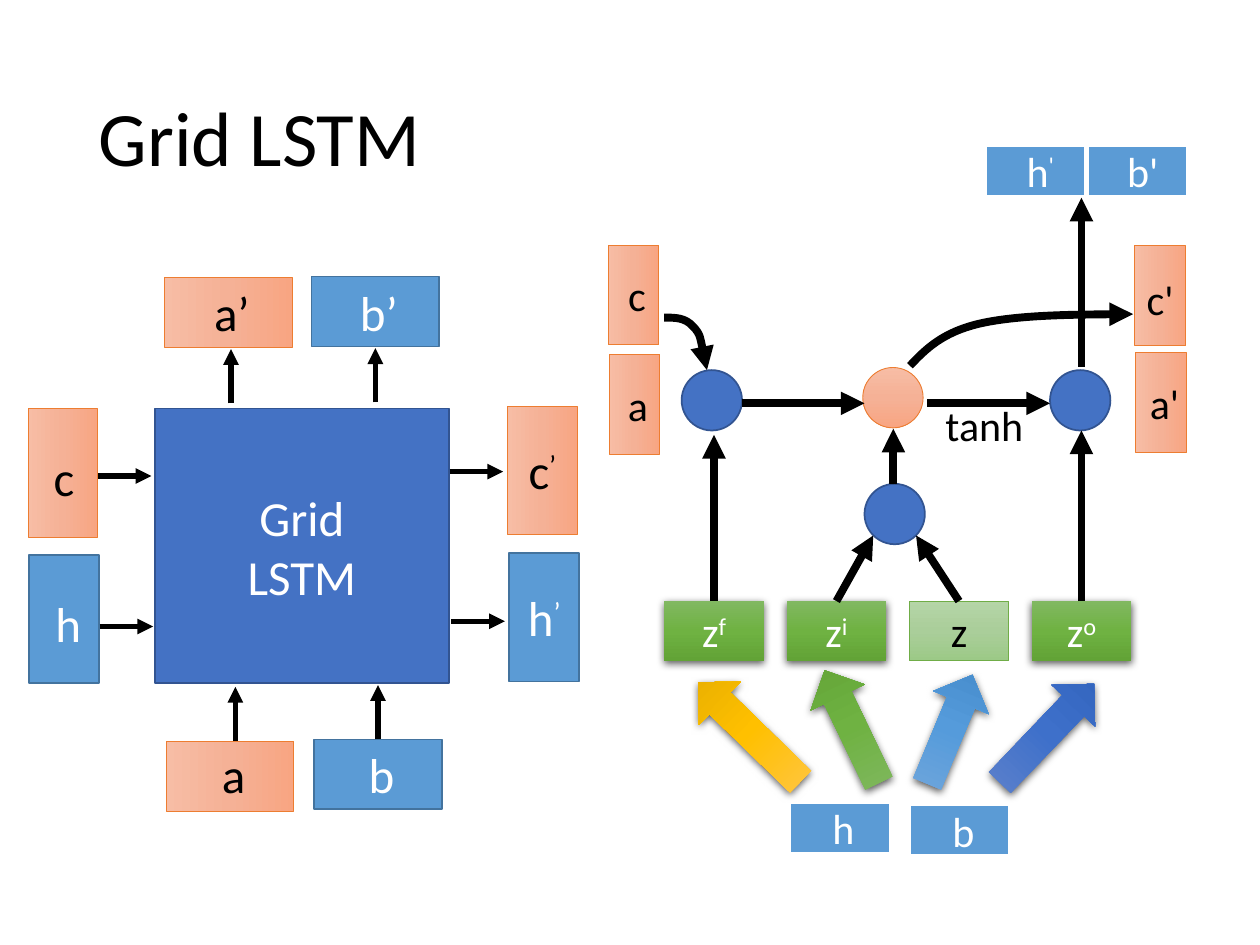
from copy import deepcopy

from lxml import etree
from pptx import Presentation
from pptx.dml.color import RGBColor
from pptx.enum.shapes import MSO_CONNECTOR, MSO_SHAPE
from pptx.enum.text import MSO_ANCHOR, PP_ALIGN
from pptx.oxml.ns import qn
from pptx.util import Pt

RECTANGLE = MSO_SHAPE.RECTANGLE
OVAL = MSO_SHAPE.OVAL
UP_ARROW = MSO_SHAPE.UP_ARROW
STRAIGHT = MSO_CONNECTOR.STRAIGHT
MIDDLE = MSO_ANCHOR.MIDDLE
CENTER = PP_ALIGN.CENTER
LEFT = PP_ALIGN.LEFT

FONT = "Calibri"
TOP_SIDE = 0
RIGHTWARD, DOWNWARD, UPWARD = 0, 270, 90

BLACK = RGBColor(0, 0, 0)
WHITE = RGBColor(255, 255, 255)
BLUE = RGBColor(0x44, 0x72, 0xC4)
BLUE_EDGE = RGBColor(0x32, 0x54, 0x91)
SKY = RGBColor(0x5B, 0x9B, 0xD5)
SKY_EDGE = RGBColor(0x43, 0x73, 0x9E)
ORANGE = RGBColor(0xED, 0x7D, 0x31)
GREEN = RGBColor(0x70, 0xAD, 0x47)
SALMON_SHADES = (RGBColor(0xF7, 0xBD, 0xA5), RGBColor(0xF5, 0xB1, 0x96), RGBColor(0xF8, 0xA5, 0x82))
PALE_GREEN_SHADES = (RGBColor(0xB5, 0xD5, 0xA7), RGBColor(0xAA, 0xCE, 0x9A), RGBColor(0x9C, 0xC9, 0x87))
GREEN_SHADES = (RGBColor(0x81, 0xB8, 0x61), RGBColor(0x6F, 0xB2, 0x42), RGBColor(0x62, 0xA3, 0x36))
BLUE_SHADES = (RGBColor(0x61, 0x83, 0xCB), RGBColor(0x3E, 0x70, 0xCA), RGBColor(0x30, 0x62, 0xBB))
SKY_SHADES = (RGBColor(0x71, 0xA6, 0xDB), RGBColor(0x55, 0x9B, 0xDB), RGBColor(0x44, 0x8A, 0xCA))
GOLD_SHADES = (RGBColor(0xFF, 0xC6, 0x4B), RGBColor(0xFF, 0xC0, 0x00), RGBColor(0xE3, 0xAB, 0x00))


def write(box, lines, size, color, align=CENTER):
    """Fill a box with lines, each a (text, superscript) pair."""
    frame = box.text_frame
    frame.vertical_anchor = MIDDLE
    for index, (text, superscript) in enumerate(lines):
        para = frame.add_paragraph() if index else frame.paragraphs[0]
        para.alignment = align
        para.font.name, para.font.size = FONT, Pt(size)
        para.font.color.rgb = color
        para.add_run().text = text
        if superscript:
            span = para.add_run()
            span.text = superscript
            span._r.get_or_add_rPr().set("baseline", "30000")


def add_label(page, center, size, lines, font_size, color, align=CENTER):
    """Add a text box around a center point."""
    (x, y), (width, height) = center, size
    box = page.shapes.add_textbox(Pt(x - width / 2), Pt(y - height / 2), Pt(width), Pt(height))
    box.text_frame.word_wrap = True
    write(box, lines, font_size, color, align)
    return box


def add_figure(page, kind, corner, size, fill, edge=None, edge_width=1, direction=DOWNWARD):
    """Add a preset shape with a plain colour or a three-stop gradient."""
    figure = page.shapes.add_shape(kind, *map(Pt, corner + size))
    figure.shadow.inherit = False
    if isinstance(fill, RGBColor):
        figure.fill.solid()
        figure.fill.fore_color.rgb = fill
    else:
        figure.fill.gradient()
        figure.fill.gradient_angle = direction
        stop_list = figure._element.spPr.find(qn("a:gradFill")).find(qn("a:gsLst"))
        stop_list.insert(1, deepcopy(stop_list[0]))
        for stop, color, position in zip(figure.fill.gradient_stops, fill, (0, 0.5, 1)):
            stop.color.rgb, stop.position = color, position
    if edge is None:
        figure.line.fill.background()
    else:
        figure.line.color.rgb, figure.line.width = edge, Pt(edge_width)
    return figure


def add_shadow(figure):
    """Give a shape a soft shadow straight below it."""
    effects = figure._element.spPr.find(qn("a:effectLst"))
    shadow = etree.SubElement(effects, qn("a:outerShdw"), blurRad=str(Pt(4.5)), dist=str(Pt(1.5)),
                              dir="5400000", algn="ctr", rotWithShape="0")
    color = etree.SubElement(shadow, qn("a:srgbClr"), val=str(BLACK))
    etree.SubElement(color, qn("a:alpha"), val="63000")


def add_state(page, corner, size, salmon, edge, text, shift, font_size):
    """Add a state vector's box with its label, and return the box."""
    if salmon:
        box = add_figure(page, RECTANGLE, corner, size, SALMON_SHADES, ORANGE, 0.5, RIGHTWARD)
    else:
        box = add_figure(page, RECTANGLE, corner, size, SKY, *edge)
    center = [start + length / 2 + move for start, length, move in zip(corner, size, shift)]
    add_label(page, center, (72, font_size * 1.5), [text], font_size, BLACK if salmon else WHITE)
    return box


def style_stroke(stroke, width):
    """Make a line black, with a triangle at its far end and no shadow."""
    stroke.line.color.rgb, stroke.line.width = BLACK, Pt(width)
    properties = stroke._element.spPr
    etree.SubElement(properties.find(qn("a:ln")), qn("a:tailEnd"), type="triangle")
    if properties.find(qn("a:effectLst")) is None:
        etree.SubElement(properties, qn("a:effectLst"))


def add_arrow(page, start, end, width, source=None):
    """Add a straight arrow, joined to the top of its source box if given."""
    arrow = page.shapes.add_connector(STRAIGHT, *map(Pt, start + end))
    if source is not None:
        arrow.begin_connect(source, TOP_SIDE)
    style_stroke(arrow, width)


def add_curve(page, points, width):
    """Add a curved arrow through a start and groups of three Bezier points."""
    start, *rest = [(Pt(x), Pt(y)) for x, y in points]
    builder = page.shapes.build_freeform(*start)
    builder.add_line_segments(rest, close=False)
    curve = builder.convert_to_shape()
    curve.fill.background()
    curve.shadow.inherit = False
    segments = list(curve._element.iter(qn("a:lnTo")))
    outline = segments[0].getparent()
    for first in range(0, len(segments), 3):
        bend = etree.SubElement(outline, qn("a:cubicBezTo"))
        for segment in segments[first:first + 3]:
            bend.append(segment[0])
            outline.remove(segment)
    style_stroke(curve, width)


def add_block(page):
    """Draw the Grid LSTM block with its inputs and outputs."""
    block = add_figure(page, RECTANGLE, (88.5, 233.5), (168, 157), BLUE, BLUE_EDGE)
    write(block, [("Grid", ""), ("LSTM", "")], 28, WHITE)
    tall, wide, edge = (40, 73.5), (73, 40), (SKY_EDGE, 1)
    for corner, size, salmon, text, shift in (
            ((16, 233.5), tall, True, ("c", ""), (0.5, 2)),
            ((16.5, 317), tall, False, ("h", ""), (2.5, 2)),
            ((290, 232), tall, True, ("c", "’"), (0, 0)),
            ((291, 316), tall, False, ("h", "’"), (0, 0)),
            ((94, 158.5), wide, True, ("a’", ""), (2, 0)),
            ((178, 158), wide, False, ("b’", ""), (2, 0)),
            ((95, 423.5), wide, True, ("a", ""), (2, -1)),
            ((179.5, 422.5), wide, False, ("b", ""), (2, 0))):
        box = add_state(page, corner, size, salmon, edge, text, shift, 28)
    add_arrow(page, (216, 422.5), (216, 391.5), 3, box)
    for x, y in ((56, 272), (57, 358), (257, 269.5), (258, 355)):
        add_arrow(page, (x, y), (x + 30.5, y), 3)
    for x, y in ((134.5, 423.5), (132, 230.5), (214.5, 230)):
        add_arrow(page, (x, y), (x, y - 31), 3)


def add_cell(page):
    """Draw the inside of the cell: gates, circles, states and flows."""
    flat, upright, edge = (57, 29), (29, 57), (WHITE, 1.5)
    for corner, size, salmon, text, shift in (
            ((563, 83), flat, False, ("h", "'"), (3, 0)),
            ((621.5, 83), flat, False, ("b'", ""), (3, 0)),
            ((451.5, 458.5), flat, False, ("h", ""), (2, 0)),
            ((520, 460), flat, False, ("b", ""), (2, 0)),
            ((347.5, 140), upright, True, ("c", ""), (2, 0)),
            ((348, 202.5), upright, True, ("a", ""), (2, 0)),
            ((648.5, 140.5), upright, True, ("c'", ""), (0, 1.5)),
            ((649, 201.5), upright, True, ("a'", ""), (2, 0))):
        add_state(page, corner, size, salmon, edge, text, shift, 24)
    for corner in ((494, 276.5), (389.5, 211.5), (600, 211.5)):
        add_figure(page, OVAL, corner, (34.5, 34.5), BLUE, BLUE_EDGE)
    add_figure(page, OVAL, (493, 210), (34.5, 34.5), SALMON_SHADES, ORANGE, 0.5)

    for column, (letter, target) in enumerate((
            ("f", (408, 248.5)), ("i", (499, 306)), ("", (523.5, 306)), ("o", (618, 246)))):
        left = 379.5 + 70 * column
        if letter:
            gate = add_figure(page, RECTANGLE, (left, 343.5), (57, 34), GREEN_SHADES)
            add_shadow(gate)
        else:
            gate = add_figure(page, RECTANGLE, (left, 343.5), (57, 34), PALE_GREEN_SHADES, GREEN, 0.5)
        write(gate, [("z", letter)], 24, WHITE if letter else BLACK)
        add_arrow(page, (left + 28.5, 343.5), target, 4.5, gate)

    for corner, length, turn, shades in (
            ((581, 380), 78, 43.7, BLUE_SHADES), ((469.5, 379.5), 71.5, 334.3, GREEN_SHADES),
            ((525.5, 383), 67.5, 22.6, SKY_SHADES), ((411, 377.5), 81.5, 314.2, GOLD_SHADES)):
        arrow = add_figure(page, UP_ARROW, corner, (34.5, length), shades, direction=UPWARD)
        arrow.rotation = turn
        add_shadow(arrow)

    for start, end in (((424, 230.5), (494, 230.5)), ((530, 230.5), (600, 230.5)),
                       ((510.5, 276.5), (510.5, 245)), ((618, 209.5), (618, 113))):
        add_arrow(page, start, end, 4.5)
    add_curve(page, ((520, 209), (529, 199.5), (538.5, 190), (559.5, 185),
                     (581, 180), (629.5, 179.5), (647.5, 179.5)), 4.5)
    add_curve(page, ((379.5, 181.5), (386, 181.5), (391.5, 181.5), (396, 186.5),
                     (400.5, 191), (402, 201.5), (404, 211.5)), 4.5)
    add_label(page, (562.5, 242.5), (112, 36), [("tanh", "")], 24, BLACK)


def main():
    """Build the slide and save it."""
    deck = Presentation()
    deck.slide_width, deck.slide_height = Pt(720), Pt(540)
    page = deck.slides.add_slide(deck.slide_layouts[6])
    title = add_label(page, (360, 81), (621, 104), [("Grid LSTM", "")], 44, BLACK, LEFT)
    title.text_frame.paragraphs[0].line_spacing = 0.9
    add_block(page)
    add_cell(page)
    deck.save("out.pptx")


if __name__ == "__main__":
    main()
